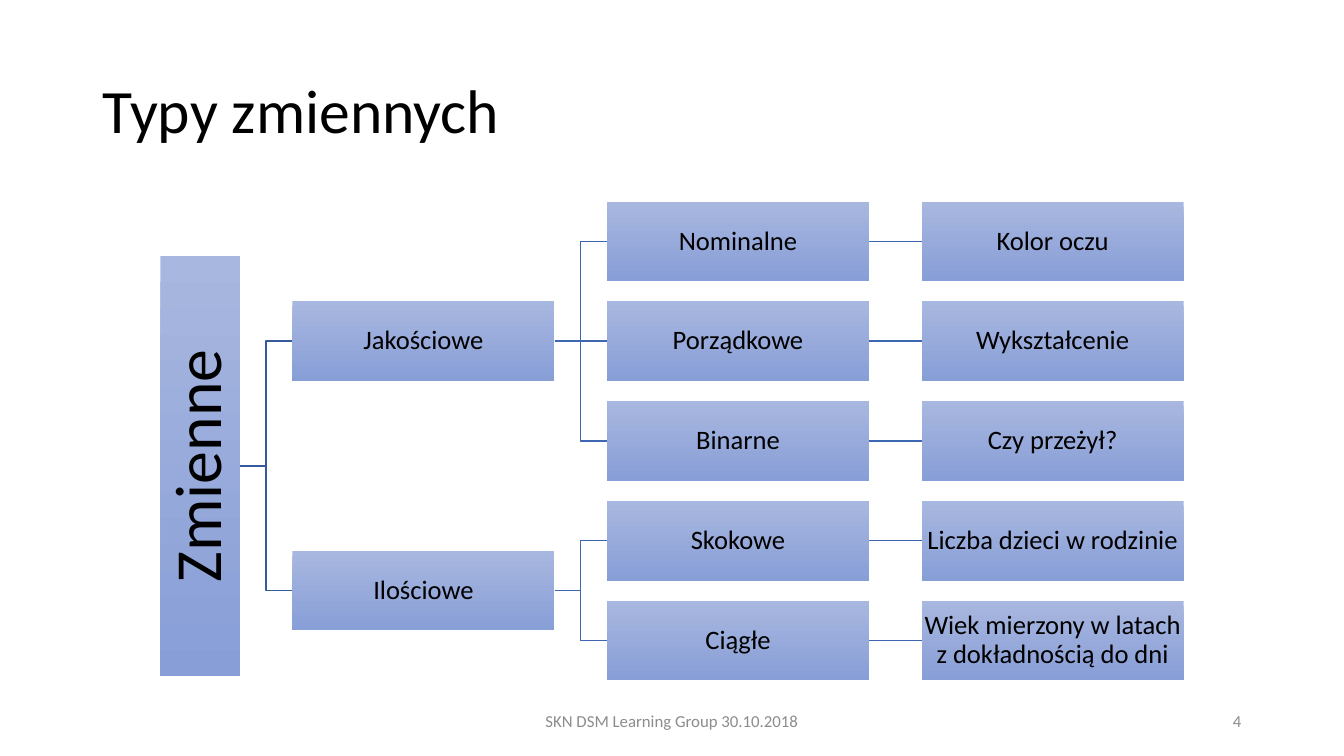
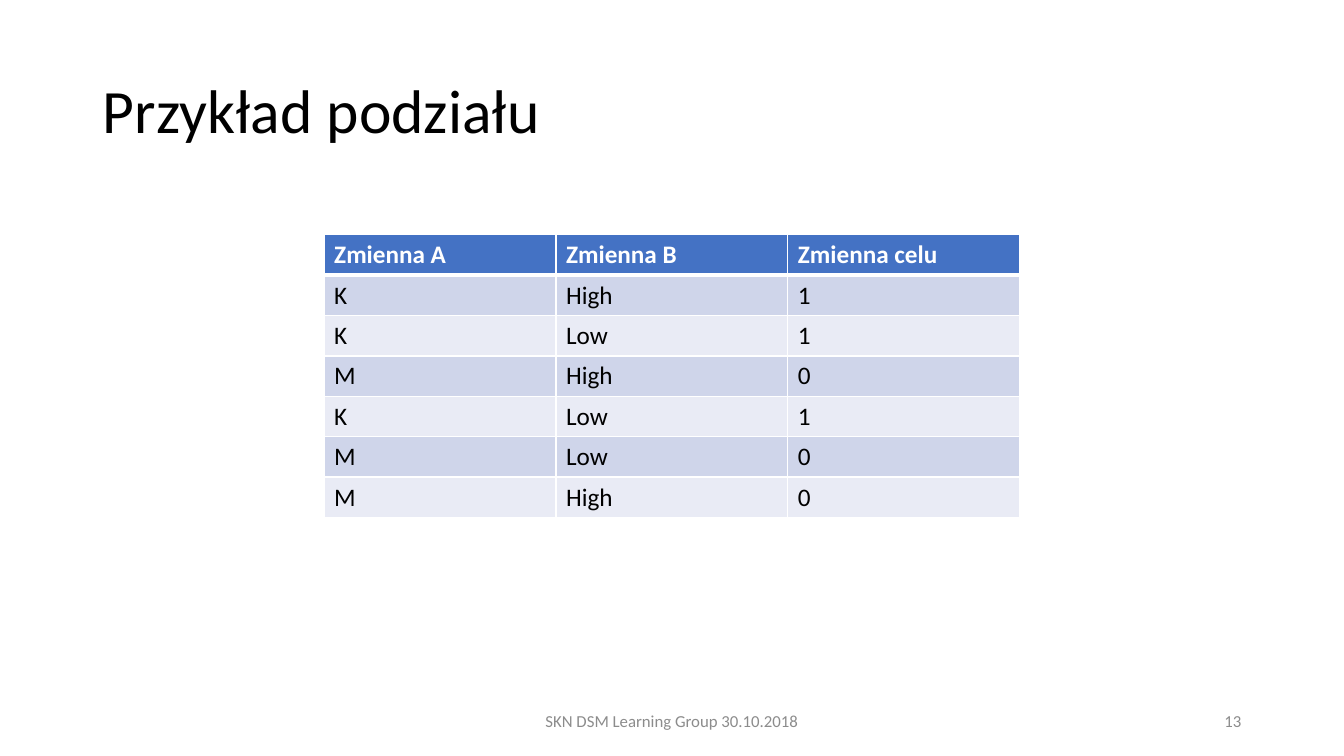
import pptx
import pptx.util
import pptx.dml.color
import pptx.enum.shapes
import pptx.enum.text
import pptx.oxml
import pptx.oxml.ns
import lxml.etree

FONT = "Calibri"
BLACK, WHITE, GREY = "000000", "FFFFFF", "8C8C8C"
BOX_TOP, BOX_BOTTOM = "A8B7DF", "889ED7"
LINE_ROOT, LINE_BRANCH = "365B9D", "3E67B2"
HEAD_FILL, BAND_FILLS = "4472C4", ("CFD5EA", "E9EBF5")

FOOTER = "SKN DSM Learning Group 30.10.2018"
TREE = ("Zmienne", [
    ("Jakościowe", [
        ("Nominalne", [("Kolor oczu", [])]),
        ("Porządkowe", [("Wykształcenie", [])]),
        ("Binarne", [("Czy przeżył?", [])]),
    ]),
    ("Ilościowe", [
        ("Skokowe", [("Liczba dzieci w rodzinie", [])]),
        ("Ciągłe", [("Wiek mierzony w latach z dokładnością do dni", [])]),
    ]),
])
SPLIT_ROWS = [
    ("Zmienna A", "Zmienna B", "Zmienna celu"),
    ("K", "High", "1"),
    ("K", "Low", "1"),
    ("M", "High", "0"),
    ("K", "Low", "1"),
    ("M", "Low", "0"),
    ("M", "High", "0"),
]

SLIDE_W, SLIDE_H = 13.33, 7.5
MARGIN = 0.92
FOOT_TOP, FOOT_H = 6.95, 0.4
TREE_LEFT, TREE_TOP = 2.9, 2.0
BOX_W, BOX_H = 2.6, 0.79
COL_STEP, ROW_STEP = 3.12, 0.99
ROOT_LEFT, ROOT_H = 1.59, 4.17
TABLE_TOP, TABLE_COL, TABLE_ROW = 2.33, 2.3, 0.4

ALIGN = pptx.enum.text.PP_ALIGN
ANCHOR = pptx.enum.text.MSO_ANCHOR
CONNECTOR = pptx.enum.shapes.MSO_CONNECTOR
LEFT_SITE, RIGHT_SITE = 1, 3


def rgb(hex_color):
    """Turn a hex string into a colour."""
    return pptx.dml.color.RGBColor.from_string(hex_color)


def inches(*lengths):
    """Turn numbers into lengths."""
    return [pptx.util.Inches(n) for n in lengths]


def write(tf, text, size, color=BLACK, align=ALIGN.LEFT, bold=False, spacing=1.0):
    """Put one formatted run in the first paragraph of a text frame."""
    p = tf.paragraphs[0]
    p.alignment, p.line_spacing = align, spacing
    r = p.add_run()
    r.text = text
    r.font.name, r.font.size, r.font.bold = FONT, pptx.util.Pt(size), bold
    r.font.color.rgb = rgb(color)


def add_footer(s, left, width, text, align):
    """Add one grey text at the foot of the slide."""
    tf = s.shapes.add_textbox(*inches(left, FOOT_TOP, width, FOOT_H)).text_frame
    tf.word_wrap, tf.vertical_anchor = True, ANCHOR.MIDDLE
    write(tf, text, 12, GREY, align)


def add_slide(prs, title, number):
    """Add a slide with its title, footer and number."""
    s = prs.slides.add_slide(prs.slide_layouts[5])
    sp = s.shapes.title
    sp.left, sp.top, sp.width, sp.height = inches(MARGIN, 0.4, 11.5, 1.45)
    tf = sp.text_frame
    tf.auto_size = pptx.enum.text.MSO_AUTO_SIZE.NONE
    tf.word_wrap, tf.vertical_anchor = True, ANCHOR.MIDDLE
    write(tf, title, 44, spacing=0.9)
    add_footer(s, (SLIDE_W - 4.5) / 2, 4.5, FOOTER, ALIGN.CENTER)
    add_footer(s, SLIDE_W - MARGIN - 3, 3, str(number), ALIGN.RIGHT)
    return s


def add_box(s, left, middle, width, height, text, size, inset):
    """Add a gradient box centred on a height, with text in it."""
    sp = s.shapes.add_shape(pptx.enum.shapes.MSO_SHAPE.RECTANGLE,
                            *inches(left, middle - height / 2, width, height))
    sp.shadow.inherit = False
    sp.line.fill.background()
    sp.fill.gradient()
    sp.fill.gradient_angle = 270
    for stop, color in zip(sp.fill.gradient_stops, (BOX_TOP, BOX_BOTTOM)):
        stop.color.rgb = rgb(color)
    tf = sp.text_frame
    tf.word_wrap, tf.vertical_anchor = True, ANCHOR.MIDDLE
    tf.margin_left = tf.margin_right = pptx.util.Inches(inset)
    tf.margin_top = tf.margin_bottom = pptx.util.Inches(inset)
    write(tf, text, size, align=ALIGN.CENTER, spacing=0.9)
    return sp


def link(s, parent, child, level, color):
    """Join the right side of a box to the left side of another."""
    kind = CONNECTOR.STRAIGHT if level else CONNECTOR.ELBOW
    cxn = s.shapes.add_connector(kind, 0, 0, 0, 0)
    cxn.begin_connect(parent, RIGHT_SITE)
    cxn.end_connect(child, LEFT_SITE)
    cxn.line.color.rgb, cxn.line.width = rgb(color), pptx.util.Pt(1)
    lxml.etree.SubElement(cxn._element.spPr, pptx.oxml.ns.qn("a:effectLst"))


def add_branch(s, node, depth, first_row):
    """Draw a node after its children; return box, row and rows used."""
    text, children = node
    drawn, used = [], 0
    for child in children:
        box, row, count = add_branch(s, child, depth + 1, first_row + used)
        drawn.append((box, row))
        used += count
    row = (drawn[0][1] + drawn[-1][1]) / 2 if drawn else first_row
    middle = TREE_TOP + BOX_H / 2 + row * ROW_STEP
    if depth:
        left = TREE_LEFT + (depth - 1) * COL_STEP
        sp = add_box(s, left, middle, BOX_W, BOX_H, text, 19, 0.01)
    else:
        sp = add_box(s, ROOT_LEFT, middle, BOX_H, ROOT_H, text, 47, 0.03)
        sp.text_frame._txBody.bodyPr.set("vert", "vert270")
    for box, child_row in drawn:
        link(s, sp, box, child_row == row, LINE_BRANCH if depth else LINE_ROOT)
    return sp, row, max(used, 1)


def add_borders(cell, top, bottom):
    """Give a cell white borders; top and bottom widths in points."""
    tc_pr = cell._tc.get_or_add_tcPr()
    for side, width in (("L", 1), ("R", 1), ("T", top), ("B", bottom)):
        tc_pr.append(pptx.oxml.parse_xml(
            f'<a:ln{side} {pptx.oxml.ns.nsdecls("a")} w="{pptx.util.Pt(width)}">'
            f'<a:solidFill><a:srgbClr val="{WHITE}"/></a:solidFill></a:ln{side}>'))


def add_split_table(s, rows):
    """Add a centred table with a header and banded rows."""
    n_rows, n_cols = len(rows), len(rows[0])
    width = n_cols * TABLE_COL
    table = s.shapes.add_table(n_rows, n_cols, *inches(
        (SLIDE_W - width) / 2, TABLE_TOP, width, n_rows * TABLE_ROW)).table
    for i, row in enumerate(rows):
        head = i == 0
        fill = HEAD_FILL if head else BAND_FILLS[(i - 1) % 2]
        for j, text in enumerate(row):
            cell = table.cell(i, j)
            add_borders(cell, 3 if i == 1 else 1, 3 if head else 1)
            cell.fill.solid()
            cell.fill.fore_color.rgb = rgb(fill)
            write(cell.text_frame, text, 18, WHITE if head else BLACK, bold=head)


prs = pptx.Presentation()
prs.slide_width, prs.slide_height = inches(SLIDE_W, SLIDE_H)
add_branch(add_slide(prs, "Typy zmiennych", 4), TREE, 0, 0)
add_split_table(add_slide(prs, "Przykład podziału", 13), SPLIT_ROWS)
prs.save("out.pptx")
